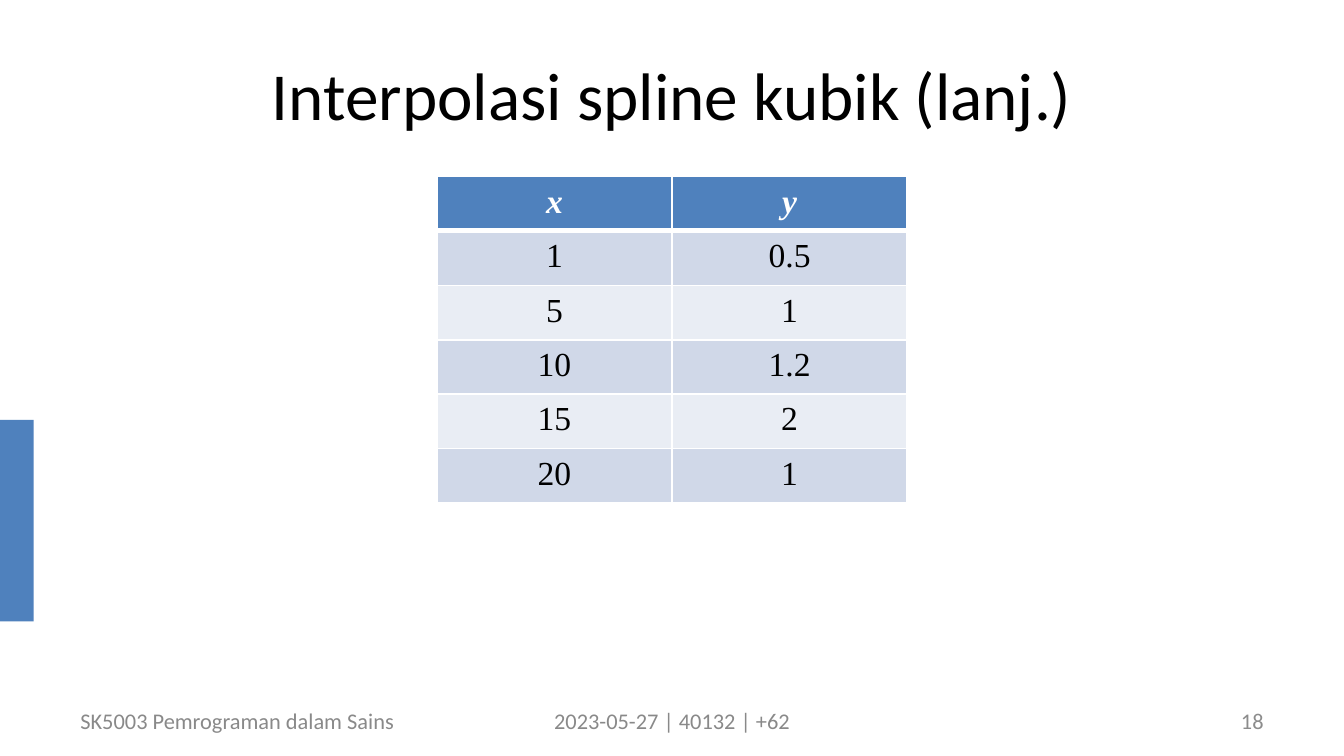
from pptx import Presentation
from pptx.dml.color import RGBColor
from pptx.enum.shapes import MSO_SHAPE
from pptx.enum.text import MSO_ANCHOR, PP_ALIGN
from pptx.oxml import parse_xml
from pptx.oxml.ns import nsdecls
from pptx.util import Inches, Pt

UNIT = 0.25
COLUMNS, ROWS = 40, 22.5
BLUE, WHITE, BLACK, GREY = "4F81BD", "FFFFFF", "000000", "898989"
BANDS = ("D0D8E8", "E9EDF4")


def color(value):
    return RGBColor.from_string(value)


def grid(*units):
    return [Inches(unit * UNIT) for unit in units]


def assign(target, values):
    for name, value in values.items():
        setattr(target, name, value)


class SlideBuilder:
    title = {"name": "Calibri", "size": Pt(36)}
    footer = {"name": "Calibri", "size": Pt(12)}
    body = {"name": "Times New Roman", "size": Pt(18), "bold": False, "italic": False}
    header = body | {"bold": True, "italic": True}

    def __init__(self, deck):
        self.slide = deck.slides.add_slide(deck.slide_layouts[6])

    def fill_text(self, frame, text, style, ink, align):
        para = frame.paragraphs[0]
        para.alignment = align
        span = para.add_run()
        span.text = text
        assign(span.font, style)
        span.font.color.rgb = color(ink)

    def bar(self, area, fill):
        shape = self.slide.shapes.add_shape(MSO_SHAPE.RECTANGLE, *grid(*area))
        shape.shadow.inherit = False
        shape.fill.solid()
        shape.fill.fore_color.rgb = color(fill)
        shape.line.fill.background()

    def text(self, area, text, style, ink, align):
        box = self.slide.shapes.add_textbox(*grid(*area))
        assign(box.text_frame, {"word_wrap": True, "vertical_anchor": MSO_ANCHOR.MIDDLE})
        self.fill_text(box.text_frame, text, style, ink, align)

    def borders(self, cell, widths):
        properties = cell._tc.get_or_add_tcPr()
        for index, (side, width) in enumerate(widths.items()):
            line = parse_xml(
                f'<a:ln{side} {nsdecls("a")} w="{Pt(width)}"><a:solidFill>'
                f'<a:srgbClr val="{WHITE}"/></a:solidFill></a:ln{side}>'
            )
            properties.insert(index, line)

    def table(self, area, records):
        frame = self.slide.shapes.add_table(len(records), len(records[0]), *grid(*area))
        for row, record in enumerate(records):
            style, ink, fill = (
                (self.body, BLACK, BANDS[(row - 1) % 2]) if row else (self.header, WHITE, BLUE)
            )
            widths = {"L": 1, "R": 1, "T": 3 if row == 1 else 1, "B": 1 if row else 3}
            for column, text in enumerate(record):
                cell = frame.table.cell(row, column)
                cell.fill.solid()
                cell.fill.fore_color.rgb = color(fill)
                self.borders(cell, widths)
                self.fill_text(cell.text_frame, text, style, ink, PP_ALIGN.CENTER)


def main():
    deck = Presentation()
    deck.slide_width, deck.slide_height = grid(COLUMNS, ROWS)
    page = SlideBuilder(deck)
    page.bar((0, 12.5, 1, 6), BLUE)
    page.text((2, 0.9, 36, 3.75), "Interpolasi spline kubik (lanj.)",
              page.title, BLACK, PP_ALIGN.CENTER)
    page.table((13, 5.25, 14, 9.73), [
        ("x", "y"), ("1", "0.5"), ("5", "1"), ("10", "1.2"), ("15", "2"), ("20", "1"),
    ])
    footers = (
        (2, 10.33, "SK5003 Pemrograman dalam Sains", GREY, PP_ALIGN.LEFT),
        (13.67, 12.67, "2023-05-27 | 40132 | +62", GREY, PP_ALIGN.CENTER),
        (28.67, 9.33, "18", "8C8C8C", PP_ALIGN.RIGHT),
    )
    for left, width, text, ink, align in footers:
        page.text((left, 20.85, width, 1.2), text, page.footer, ink, align)
    deck.save("out.pptx")


if __name__ == "__main__":
    main()
